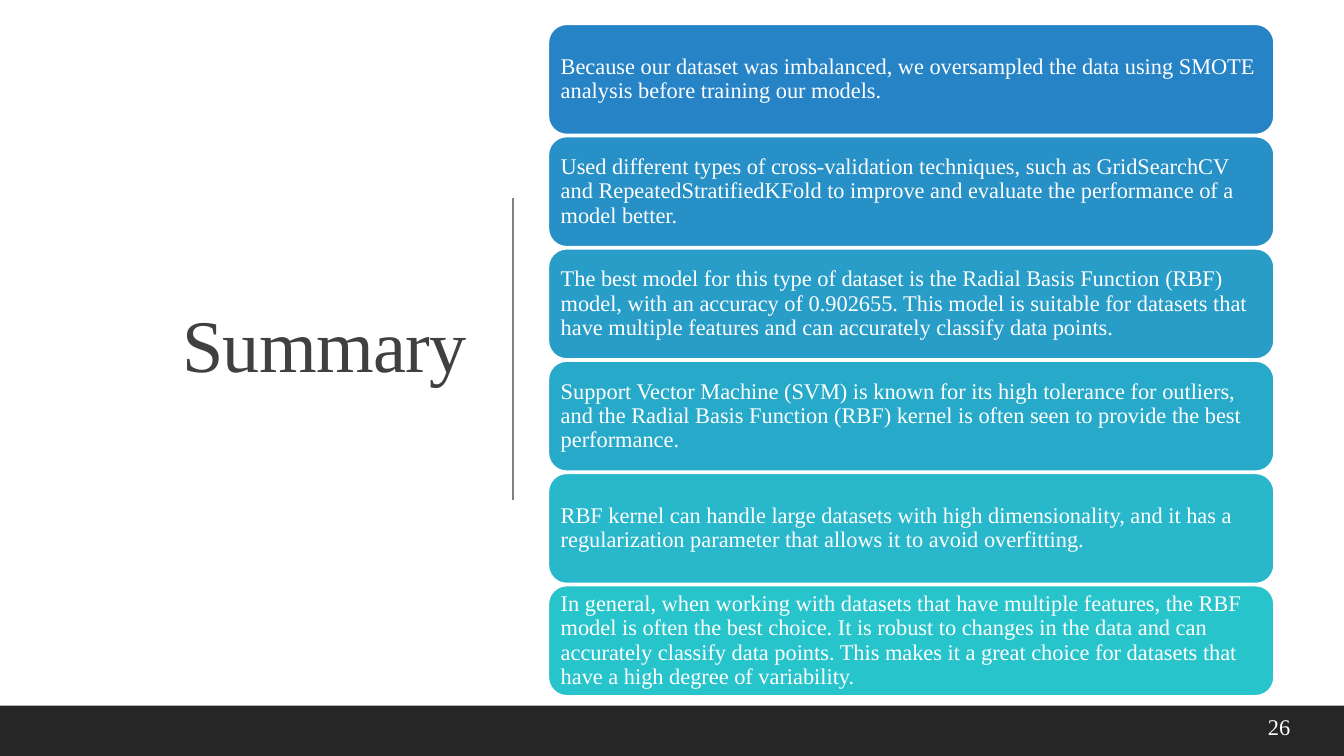
from lxml import etree
from pptx import Presentation
from pptx.dml.color import RGBColor
from pptx.enum.shapes import MSO_CONNECTOR, MSO_SHAPE
from pptx.enum.text import MSO_ANCHOR, PP_ALIGN
from pptx.oxml.ns import qn
from pptx.util import Inches, Pt

RECT, ROUND = MSO_SHAPE.RECTANGLE, MSO_SHAPE.ROUNDED_RECTANGLE
LINE = MSO_CONNECTOR.STRAIGHT
MIDDLE = MSO_ANCHOR.MIDDLE
LEFT, RIGHT = PP_ALIGN.LEFT, PP_ALIGN.RIGHT

WHITE = RGBColor(0xFF, 0xFF, 0xFF)
DARK = RGBColor(0x26, 0x26, 0x26)
INK = RGBColor(0x40, 0x40, 0x40)
GREY = RGBColor(0x80, 0x80, 0x80)
BLUE = RGBColor(0x26, 0x83, 0xC6)
TEAL = RGBColor(0x28, 0xC4, 0xCC)

POINTS = [
    "Because our dataset was imbalanced, we oversampled the data using SMOTE "
    "analysis before training our models.",
    "Used different types of cross-validation techniques, such as GridSearchCV "
    "and RepeatedStratifiedKFold to improve and evaluate the performance of a "
    "model better.",
    "The best model for this type of dataset is the Radial Basis Function (RBF) "
    "model, with an accuracy of 0.902655. This model is suitable for datasets "
    "that have multiple features and can accurately classify data points.",
    "Support Vector Machine (SVM) is known for its high tolerance for outliers, "
    "and the Radial Basis Function (RBF) kernel is often seen to provide the "
    "best performance.",
    "RBF kernel can handle large datasets with high dimensionality, and it has a "
    "regularization parameter that allows it to avoid overfitting.",
    "In general, when working with datasets that have multiple features, the RBF "
    "model is often the best choice. It is robust to changes in the data and can "
    "accurately classify data points. This makes it a great choice for datasets "
    "that have a high degree of variability.",
]


def blend(start, end, share):
    return RGBColor(*(round(a + (b - a) * share) for a, b in zip(start, end)))


class Deck:
    """Draws on one slide; all places are percentages of its width and height."""

    font = "Times New Roman"
    size = 16

    def __init__(self):
        self.show = Presentation()
        self.show.slide_width = Inches(13.333)
        self.show.slide_height = Inches(7.5)
        self.slide = self.show.slides.add_slide(self.show.slide_layouts[6])

    def place(self, x, y, w, h):
        """Turn percentages into slide lengths."""
        wide, high = self.show.slide_width, self.show.slide_height
        return [round(part * full / 100)
                for part, full in zip((x, y, w, h), (wide, high, wide, high))]

    def letter(self, shape, text, color=WHITE, size=size, align=LEFT, lead=1.0):
        """Put styled text into a shape."""
        frame = shape.text_frame
        frame.word_wrap = True
        frame.vertical_anchor = MIDDLE
        para = frame.paragraphs[0]
        para.text = text
        para.alignment = align
        para.line_spacing = lead
        para.font.name = self.font
        para.font.size = Pt(size)
        para.font.color.rgb = color
        return frame

    def label(self, box, text, **style):
        shape = self.slide.shapes.add_textbox(*self.place(*box))
        return self.letter(shape, text, **style)

    def block(self, kind, box, fill, edge=None):
        shape = self.slide.shapes.add_shape(kind, *self.place(*box))
        shape.shadow.inherit = False
        shape.fill.solid()
        shape.fill.fore_color.rgb = fill
        if edge is None:
            shape.line.fill.background()
        else:
            shape.line.color.rgb = edge
            shape.line.width = Pt(1.25)
        return shape

    def card(self, box, fill, text):
        frame = self.letter(self.block(ROUND, box, fill, WHITE), text, lead=0.9)
        frame.margin_left = frame.margin_right = Inches(0.07)
        frame.margin_top = frame.margin_bottom = Inches(0.07)

    def rule(self, ends, color):
        line = self.slide.shapes.add_connector(LINE, *self.place(*ends))
        line.line.color.rgb = color
        line.line.width = Pt(1)
        etree.SubElement(line._element.spPr, qn("a:effectLst"))


def main():
    deck = Deck()
    title = deck.label((5.25, 9.2, 30.22, 73.73), "Summary",
                       color=INK, size=53, align=RIGHT, lead=0.9)
    title.paragraphs[0].runs[0]._r.get_or_add_rPr().set("spc", "-50")
    deck.rule((38.18, 26.13, 38.18, 66.13), GREY)
    deck.block(RECT, (0, 93.33, 100, 6.67), DARK)

    top, step, high = 3.2, 14.85, 14.6
    for row, text in enumerate(POINTS):
        fill = blend(BLUE, TEAL, row / (len(POINTS) - 1))
        deck.card((40.8, top + row * step, 54, high), fill, text)

    deck.label((93.6, 93.47, 6.4, 5.33), "26")
    deck.show.save("out.pptx")


if __name__ == "__main__":
    main()
